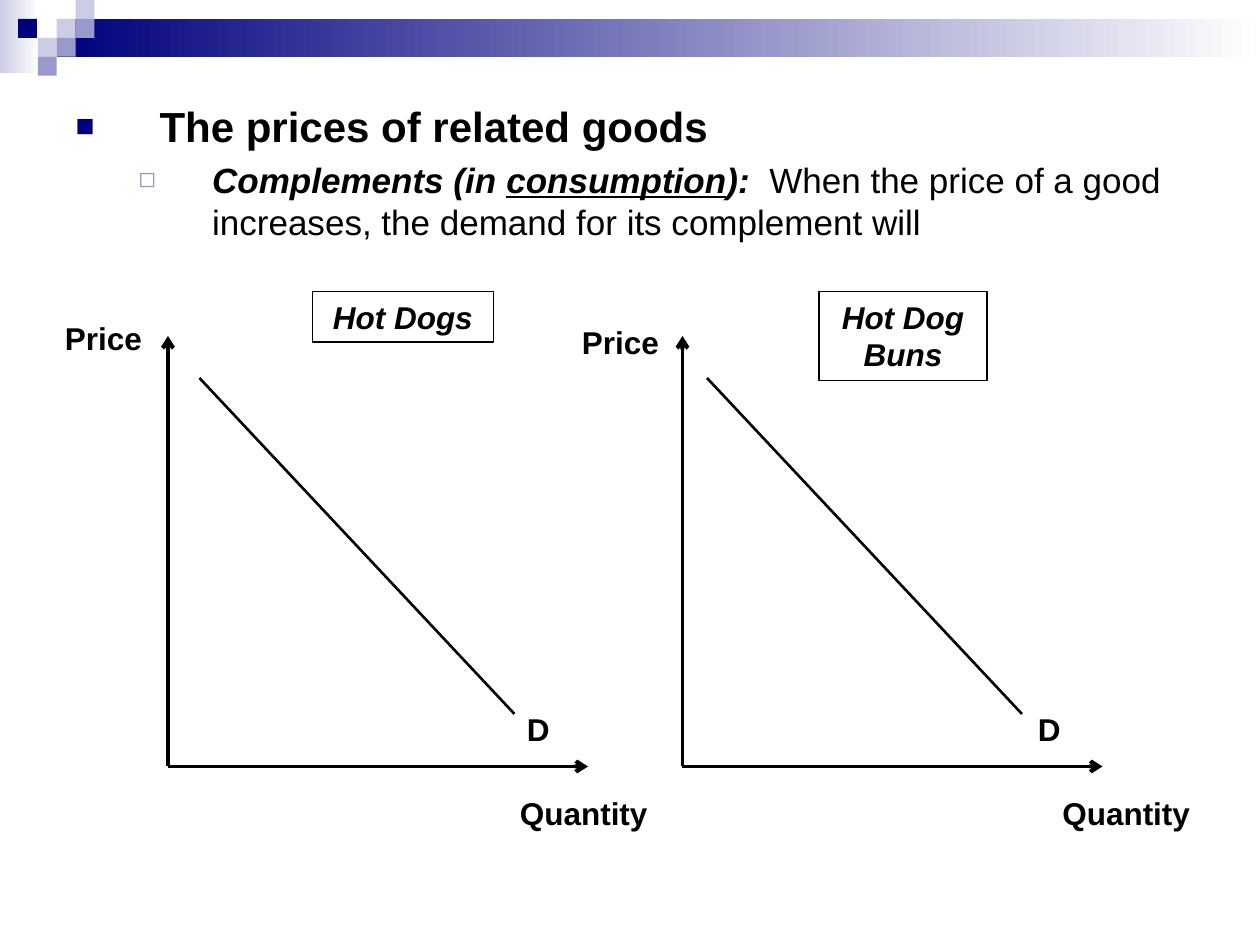
from dataclasses import dataclass

from lxml import etree
from pptx import Presentation
from pptx.dml.color import RGBColor
from pptx.enum import shapes, text
from pptx.oxml.ns import qn
from pptx.util import Pt

NAVY = RGBColor(0x00, 0x00, 0x7D)
LILAC = RGBColor(0x99, 0x99, 0xCC)
PALE = RGBColor(0xCC, 0xCC, 0xE6)
WHITE = RGBColor(0xFF, 0xFF, 0xFF)
BLACK = RGBColor(0x00, 0x00, 0x00)

FONT = "Arial"
TILE = 10.8
AXIS_TOP, AXIS_BOTTOM, AXIS_LENGTH = 192, 438, 240
DEMAND_TOP, DEMAND_BOTTOM, DEMAND_RUN = 216, 408, 180


@dataclass
class Label:
    text: str
    left: float
    top: float
    width: float
    height: float = 29


@dataclass
class Market:
    axis_x: float
    demand_x: float
    name: Label
    price: Label
    quantity: Label
    demand: Label


@dataclass
class Bullet:
    char: str
    color: RGBColor
    percent: int
    margin: float
    hanging: float


@dataclass
class Span:
    text: str
    bold: bool = True
    italic: bool = False
    underline: bool = False


TILES = [
    (32.4, 10.8, PALE), (43.2, 0, PALE), (43.2, 10.8, LILAC), (21.6, 21.6, PALE),
    (10.3, 10.8, NAVY), (32.4, 21.6, LILAC), (21.6, 32.4, LILAC),
]

MARKETS = [
    Market(96, 114,
           Label("Hot Dogs", 178.5, 166.5, 103.5),
           Label("Price", 30, 178.5, 66),
           Label("Quantity", 290, 450, 91.5),
           Label("D", 294, 402, 27)),
    Market(390, 404,
           Label("Hot Dog Buns", 468, 166.5, 96, 51),
           Label("Price", 325.5, 181, 66),
           Label("Quantity", 600, 450, 91.5),
           Label("D", 586, 402, 27)),
]

OUTLINE = [
    (Bullet("■", NAVY, 75, 48, 48), 0, 24, [Span("The prices of related goods")]),
    (Bullet("◻", LILAC, 80, 78, 42), 1, 20, [
        Span("Complements (in ", italic=True),
        Span("consumption", italic=True, underline=True),
        Span("):  ", italic=True),
        Span("When the price of a good increases, the demand for its "
             "complement will", bold=False),
    ]),
]


def add_rect(s, left: float, top: float, width: float, height: float):
    """Add a rectangle with neither shadow nor outline."""
    sp = s.shapes.add_shape(shapes.MSO_SHAPE.RECTANGLE,
                            Pt(left), Pt(top), Pt(width), Pt(height))
    sp.shadow.inherit = False
    sp.line.fill.background()
    return sp


def add_fade(s, left: float, top: float, width: float, height: float,
             color: RGBColor) -> None:
    """Add a bar that fades to white from left to right."""
    fill = add_rect(s, left, top, width, height).fill
    fill.gradient()
    fill.gradient_angle = 0
    for stop, stop_color in zip(fill.gradient_stops, (color, WHITE)):
        stop.color.rgb = stop_color


def add_run(p, span: Span, size: float) -> None:
    r = p.add_run()
    r.text = span.text
    f = r.font
    f.name, f.size, f.color.rgb = FONT, Pt(size), BLACK
    f.bold, f.italic, f.underline = span.bold, span.italic, span.underline


def set_bullet(p, bullet: Bullet) -> None:
    pPr = p._p.get_or_add_pPr()
    pPr.set("marL", str(Pt(bullet.margin)))
    pPr.set("indent", str(-Pt(bullet.hanging)))
    color = etree.SubElement(pPr, qn("a:buClr"))
    etree.SubElement(color, qn("a:srgbClr"), val=str(bullet.color))
    etree.SubElement(pPr, qn("a:buSzPct"), val=str(bullet.percent * 1000))
    etree.SubElement(pPr, qn("a:buFont"), typeface=FONT)
    etree.SubElement(pPr, qn("a:buChar"), char=bullet.char)


def add_line(s, x1: float, y1: float, x2: float, y2: float,
             weight: float, arrow: bool = False) -> None:
    c = s.shapes.add_connector(shapes.MSO_CONNECTOR.STRAIGHT,
                               Pt(x1), Pt(y1), Pt(x2), Pt(y2))
    c.line.color.rgb = BLACK
    c.line.width = Pt(weight)
    if arrow:
        etree.SubElement(c.line._get_or_add_ln(), qn("a:tailEnd"), type="arrow")
    etree.SubElement(c._element.spPr, qn("a:effectLst"))


def add_label(s, label: Label, wrap: bool = True) -> None:
    box = s.shapes.add_textbox(Pt(label.left), Pt(label.top),
                               Pt(label.width), Pt(label.height))
    tf = box.text_frame
    tf.word_wrap = wrap
    add_run(tf.paragraphs[0], Span(label.text), 18)


def add_name_box(s, label: Label) -> None:
    sp = add_rect(s, label.left, label.top, label.width, label.height)
    sp.fill.background()
    sp.line.color.rgb = BLACK
    sp.line.width = Pt(1)
    tf = sp.text_frame
    tf.word_wrap = True
    tf.vertical_anchor = text.MSO_ANCHOR.TOP
    p = tf.paragraphs[0]
    p.alignment = text.PP_ALIGN.CENTER
    add_run(p, Span(label.text, italic=True), 18)


def add_banner(s) -> None:
    add_fade(s, 0, 0, 22.3, 41.8, PALE)
    add_fade(s, 32.4, 10.8, 687.6, 21.6, NAVY)
    for left, top, color in TILES:
        fill = add_rect(s, left, top, TILE, TILE).fill
        fill.solid()
        fill.fore_color.rgb = color


def fill_body(body) -> None:
    body.left, body.top, body.width, body.height = Pt(36), Pt(54), Pt(648), Pt(432)
    tf = body.text_frame
    tf.auto_size = text.MSO_AUTO_SIZE.NONE
    for i, (bullet, level, size, spans) in enumerate(OUTLINE):
        p = tf.add_paragraph() if i else tf.paragraphs[0]
        p.level = level
        p.space_before = Pt(size * 0.2)
        set_bullet(p, bullet)
        for span in spans:
            add_run(p, span, size)


def add_market(s, m: Market) -> None:
    """Draw one price-quantity graph with its demand curve."""
    add_line(s, m.axis_x, AXIS_BOTTOM, m.axis_x, AXIS_TOP, 2.25, arrow=True)
    add_line(s, m.axis_x, AXIS_BOTTOM, m.axis_x + AXIS_LENGTH, AXIS_BOTTOM,
             2.25, arrow=True)
    add_line(s, m.demand_x, DEMAND_TOP, m.demand_x + DEMAND_RUN, DEMAND_BOTTOM, 1.5)
    add_label(s, m.price)
    add_label(s, m.quantity)
    add_label(s, m.demand, wrap=False)
    add_name_box(s, m.name)


def main() -> None:
    prs = Presentation()
    prs.slide_width, prs.slide_height = Pt(720), Pt(540)
    s = prs.slides.add_slide(prs.slide_layouts.get_by_name("Title and Content"))
    title = s.shapes.title._element
    title.getparent().remove(title)
    add_banner(s)
    fill_body(s.placeholders[1])
    for market in MARKETS:
        add_market(s, market)
    prs.save("out.pptx")


if __name__ == "__main__":
    main()
